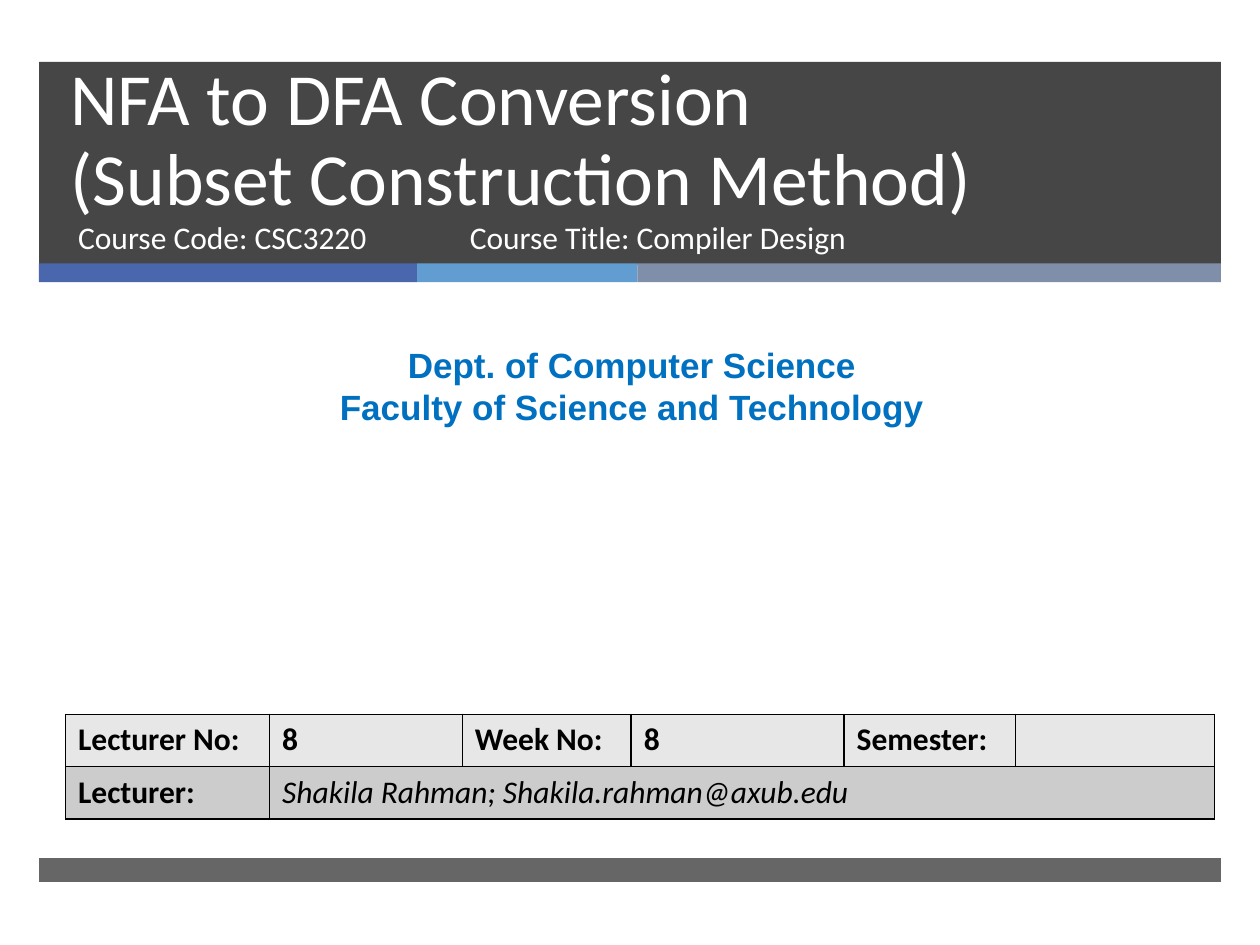
import pptx
import pptx.util
import pptx.dml.color
import pptx.enum.shapes
import pptx.enum.text
import pptx.oxml
import pptx.oxml.ns
from lxml import etree

Inches = pptx.util.Inches
Pt = pptx.util.Pt
RGBColor = pptx.dml.color.RGBColor
PP_ALIGN = pptx.enum.text.PP_ALIGN
ANCHOR = pptx.enum.text.MSO_ANCHOR
qn = pptx.oxml.ns.qn

COLORS = {
    "dark": "262626", "indigo": "4A66AC", "sky": "629DD1", "slate": "7F8FA9",
    "white": "FFFFFF", "black": "000000", "department": "0070C0",
    "light_row": "E7E7E7", "dark_row": "CCCCCC",
}


def add_bar(left, top, width, height, color, opacity=100):
    bar = slide.shapes.add_shape(
        pptx.enum.shapes.MSO_SHAPE.RECTANGLE,
        Inches(left), Inches(top), Inches(width), Inches(height))
    bar.shadow.inherit = False
    bar.line.fill.background()
    bar.fill.solid()
    bar.fill.fore_color.rgb = RGBColor.from_string(COLORS[color])
    if opacity < 100:
        color_element = bar.fill._xPr.find(".//" + qn("a:srgbClr"))
        etree.SubElement(color_element, qn("a:alpha"), val=str(opacity * 1000))


def write_text(text_frame, text, size, color, font="Calibri",
               align=PP_ALIGN.LEFT, bold=False, italic=False):
    text_frame.text = text
    text_frame.word_wrap = True
    for paragraph in text_frame.paragraphs:
        paragraph.alignment = align
        paragraph.space_before = Pt(0)
        for run in paragraph.runs:
            run.font.name = font
            run.font.size = Pt(size)
            run.font.bold = bold
            run.font.italic = italic
            run.font.color.rgb = RGBColor.from_string(COLORS[color])


presentation = pptx.Presentation()
presentation.slide_width = Inches(10)
presentation.slide_height = Inches(7.5)
slide = presentation.slides.add_slide(presentation.slide_layouts[0])
title = slide.shapes.title
subtitle = slide.placeholders[1]

# Header band, accent strip and footer band
add_bar(0.31, 0.49, 9.38, 1.61, "dark", 85)
left = 0.31
for width, color in [(3, "indigo"), (1.75, "sky"), (4.63, "slate")]:
    add_bar(left, 2.09, width, 0.15, color)
    left += width
add_bar(0.31, 6.81, 9.38, 0.19, "dark", 70)

# Bring the placeholders in front of the bands
for placeholder in (title, subtitle):
    slide.shapes._spTree.append(placeholder._element)

# Title, subtitle and free text
course_title = slide.shapes.add_textbox(0, 0, 0, 0)
department = slide.shapes.add_textbox(0, 0, 0, 0)
for shape, left, top, width, height in [
        (title, 0.46, 0.57, 8.54, 1.23),
        (subtitle, 0.52, 1.68, 3.05, 0.53),
        (course_title, 3.63, 1.68, 4.55, 0.53),
        (department, 0.08, 2.68, 9.87, 0.77)]:
    shape.left, shape.top = Inches(left), Inches(top)
    shape.width, shape.height = Inches(width), Inches(height)
    shape.text_frame.auto_size = pptx.enum.text.MSO_AUTO_SIZE.NONE
    shape.text_frame.vertical_anchor = ANCHOR.TOP

write_text(title.text_frame, "NFA to DFA Conversion\v(Subset Construction Method)", 42, "white")
title.text_frame.vertical_anchor = ANCHOR.BOTTOM
title.text_frame.paragraphs[0].line_spacing = Pt(46)
write_text(subtitle.text_frame, "Course Code: CSC3220", 18, "white")
write_text(course_title.text_frame, "Course Title: Compiler Design", 18, "white")
write_text(department.text_frame,
           "Dept. of Computer Science\nFaculty of Science and Technology",
           20, "department", "Arial", PP_ALIGN.CENTER, bold=True)

# Lecture table
rows = [
    ["Lecturer No:", "8", "Week No:", "8", "Semester:", ""],
    ["Lecturer:", "Shakila Rahman; Shakila.rahman@axub.edu", "", "", "", ""],
]
column_widths = [1.62, 1.53, 1.34, 1.69, 1.36, 1.58]
table = slide.shapes.add_table(
    len(rows), len(column_widths),
    Inches(0.52), Inches(5.67), Inches(9.12), Inches(0.83)).table
for column, width in zip(table.columns, column_widths):
    column.width = Inches(width)
table.cell(1, 1).merge(table.cell(1, 5))

for row_index, (texts, fill) in enumerate(zip(rows, ["light_row", "dark_row"])):
    for column_index, text in enumerate(texts):
        cell = table.cell(row_index, column_index)
        is_lecturer = (row_index, column_index) == (1, 1)
        write_text(cell.text_frame, text, 18, "black",
                   bold=not is_lecturer, italic=is_lecturer)
        # Borders come before the fill in the cell properties
        properties = cell._tc.get_or_add_tcPr()
        for side in ("a:lnL", "a:lnR", "a:lnT", "a:lnB"):
            border = etree.SubElement(properties, qn(side), w=str(Pt(1)))
            border_fill = etree.SubElement(border, qn("a:solidFill"))
            etree.SubElement(border_fill, qn("a:srgbClr"), val=COLORS["black"])
        cell.fill.solid()
        cell.fill.fore_color.rgb = RGBColor.from_string(COLORS[fill])

presentation.save("out.pptx")
